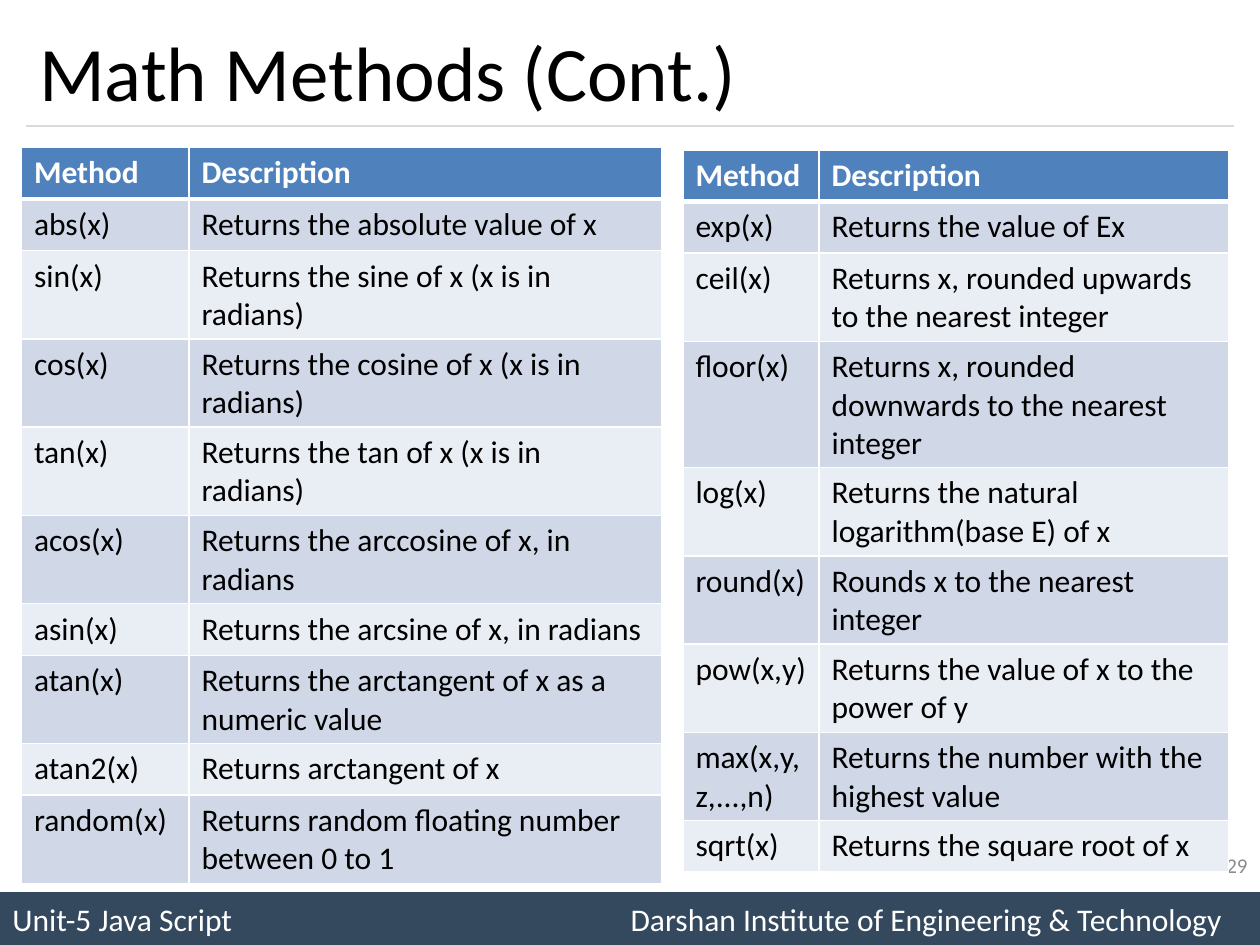
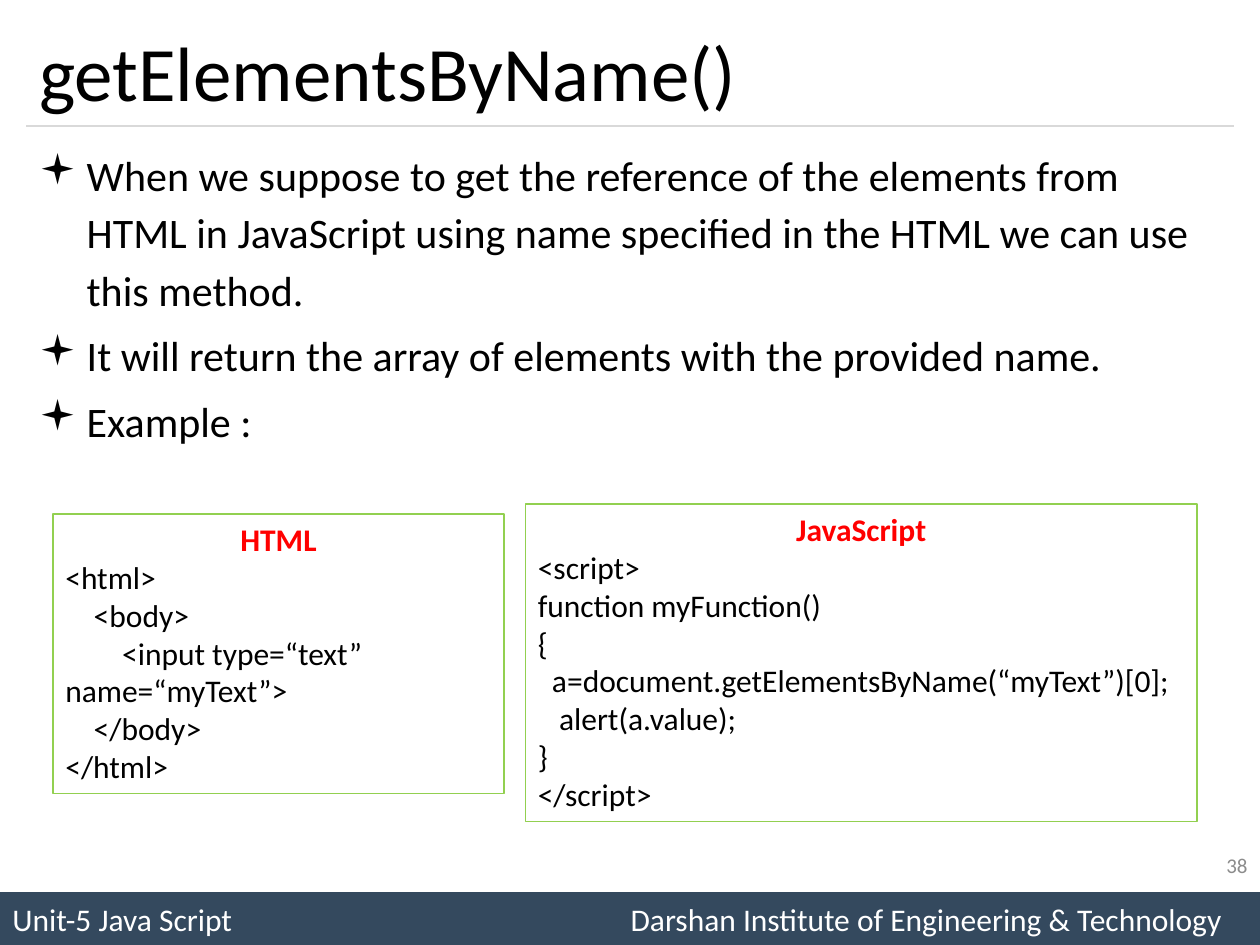
from dataclasses import dataclass

from pptx import Presentation
from pptx.dml.color import RGBColor
from pptx.enum.shapes import MSO_CONNECTOR as Connector, MSO_SHAPE as Shape
from pptx.enum.text import MSO_ANCHOR as Anchor, MSO_AUTO_SIZE as AutoSize, PP_ALIGN as Align
from pptx.oxml.ns import qn
from pptx.util import Inches, Pt
from lxml.etree import SubElement

# ---- Content ----
FOOTER = "Unit-5 Java Script\tDarshan Institute of Engineering & Technology"
HEADER = ("Method", "Description")
BASIC_METHODS = [
    ("abs(x)", "Returns the absolute value of x"),
    ("sin(x)", "Returns the sine of x (x is in radians)"),
    ("cos(x)", "Returns the cosine of x (x is in radians)"),
    ("tan(x)", "Returns the tan of x (x is in radians)"),
    ("acos(x)", "Returns the arccosine of x, in radians"),
    ("asin(x)", "Returns the arcsine of x, in radians"),
    ("atan(x)", "Returns the arctangent of x as a numeric value"),
    ("atan2(x)", "Returns arctangent of x"),
    ("random(x)", "Returns random floating number between 0 to 1"),
]
MORE_METHODS = [
    ("exp(x)", "Returns the value of Ex"),
    ("ceil(x)", "Returns x, rounded upwards to the nearest integer"),
    ("floor(x)", "Returns x, rounded downwards to the nearest integer"),
    ("log(x)", "Returns the natural logarithm(base E) of x"),
    ("round(x)", "Rounds x to the nearest integer"),
    ("pow(x,y)", "Returns the value of x to the power of y"),
    ("max(x,y,z,...,n)", "Returns the number with the highest value"),
    ("sqrt(x)", "Returns the square root of x"),
]
BULLETS = [
    "When we suppose to get the reference of the elements from HTML in JavaScript "
    "using name specified in the HTML we can use this method.",
    "It will return the array of elements with the provided name.",
    "Example :",
]
HTML_CODE = [
    "<html>",
    "    <body>",
    "        <input type=“text”\vname=“myText”>",
    "    </body>",
    "</html>",
]
SCRIPT_CODE = [
    "<script>",
    "function myFunction()",
    "{",
    "  a=document.getElementsByName(“myText”)[0];",
    "   alert(a.value);",
    "}",
    "</script>",
]
METHOD_TABLES = [  # left, top, column widths, rows
    (0.17, 1.17, (1.33, 3.75), BASIC_METHODS),
    (5.42, 1.19, (1.08, 3.25), MORE_METHODS),
]
CODE_BOXES = [  # left, top, width, height, heading, lines
    (0.42, 4.08, 3.58, 2.22, "HTML", HTML_CODE),
    (4.17, 4, 5.33, 2.52, "JavaScript", SCRIPT_CODE),
]


# ---- Look ----
@dataclass(frozen=True)
class Theme:
    font: str = "Calibri"
    ink: str = "000000"
    white: str = "FFFFFF"
    band: str = "34495E"
    rule: str = "D9D9D9"
    number: str = "8C8C8C"
    header: str = "4F81BD"
    stripes: tuple = ("D0D8E8", "E9EDF4")
    code_line: str = "92D050"
    code_heading: str = "FF0000"
    title_size: int = 44
    bullet_size: int = 24
    text_size: int = 18
    number_size: int = 12


THEME = Theme()
WIDTH, HEIGHT = 10, 7.5
MARGIN = 0.21
CONTENT_WIDTH = WIDTH - 2 * MARGIN
RULE_TOP = 1
BAND_HEIGHT = 0.42
BAND_TOP = HEIGHT - BAND_HEIGHT
ROW_HEIGHT = 0.41
BULLET_INDENT = 0.38


def apply(target, **values):
    for name, value in values.items():
        setattr(target, name, value)


def inches(*lengths):
    return [Inches(length) for length in lengths]


def style(para, size, color=THEME.ink, bold=False):
    for target in (para, *para.runs):
        apply(target.font, name=THEME.font, size=Pt(size), bold=bold)
        target.font.color.rgb = RGBColor.from_string(color)


def paint(fill, color):
    fill.solid()
    fill.fore_color.rgb = RGBColor.from_string(color)


def add_paragraphs(frame, texts):
    """Fill an empty frame with one paragraph per text and return them."""
    paras = [frame.paragraphs[0]] + [frame.add_paragraph() for _ in texts[1:]]
    for para, text in zip(paras, texts):
        para.text = text
    return paras


def add_footer(page):
    band = page.shapes.add_shape(Shape.RECTANGLE, *inches(0, BAND_TOP, WIDTH, BAND_HEIGHT))
    band.shadow.inherit = False
    paint(band.fill, THEME.band)
    band.line.fill.background()
    band.text_frame.vertical_anchor = Anchor.MIDDLE
    para = band.text_frame.paragraphs[0]
    para.alignment = Align.LEFT
    tabs = SubElement(para._p.get_or_add_pPr(), qn("a:tabLst"))
    SubElement(tabs, qn("a:tab"), pos=str(Inches(WIDTH - 0.4)), algn="r")
    para.text = FOOTER
    style(para, THEME.text_size, THEME.white)


def add_rule(page):
    rule = page.shapes.add_connector(
        Connector.STRAIGHT, *inches(MARGIN, RULE_TOP, WIDTH - MARGIN, RULE_TOP))
    rule.line.width = Pt(0.75)
    rule.line.color.rgb = RGBColor.from_string(THEME.rule)
    SubElement(rule._element.spPr, qn("a:effectLst"))


def add_page_number(page, number):
    box = page.shapes.add_textbox(*inches(7.67, 6.67, 2.33, 0.4))
    apply(box.text_frame, word_wrap=True, vertical_anchor=Anchor.MIDDLE)
    para = box.text_frame.paragraphs[0]
    apply(para, text=str(number), alignment=Align.RIGHT)
    style(para, THEME.number_size, THEME.number)


def add_page(deck, title, number):
    page = deck.slides.add_slide(deck.slide_layouts[5])
    add_footer(page)
    add_rule(page)
    left, top, width, height = inches(MARGIN, 0.12, CONTENT_WIDTH, 0.88)
    apply(page.shapes.title, left=left, top=top, width=width, height=height)
    frame = page.shapes.title.text_frame
    apply(frame, text=title, vertical_anchor=Anchor.MIDDLE, auto_size=AutoSize.NONE)
    frame.paragraphs[0].alignment = Align.LEFT
    style(frame.paragraphs[0], THEME.title_size)
    add_page_number(page, number)
    return page


def add_borders(cell, is_header):
    properties = cell._tc.get_or_add_tcPr()
    for side in "LRTB":
        width = 3 if is_header and side == "B" else 1
        line = SubElement(properties, qn(f"a:ln{side}"), w=str(Pt(width)))
        fill = SubElement(line, qn("a:solidFill"))
        SubElement(fill, qn("a:srgbClr"), val=THEME.white)


def add_method_table(page, left, top, widths, methods):
    rows = [HEADER, *methods]
    frame = page.shapes.add_table(
        len(rows), len(widths), *inches(left, top, sum(widths), ROW_HEIGHT * len(rows)))
    table = frame.table
    for column, width in zip(table.columns, widths):
        column.width = Inches(width)
    for row_index, texts in enumerate(rows):
        is_header = row_index == 0
        fill = THEME.header if is_header else THEME.stripes[(row_index - 1) % 2]
        for cell, text in zip(table.rows[row_index].cells, texts):
            cell.text = text
            add_borders(cell, is_header)
            paint(cell.fill, fill)
            style(cell.text_frame.paragraphs[0], THEME.text_size,
                  THEME.white if is_header else THEME.ink, is_header)


def add_bullets(page, texts):
    box = page.shapes.add_textbox(*inches(MARGIN, 1.08, CONTENT_WIDTH, 5.83))
    box.text_frame.word_wrap = True
    for index, para in enumerate(add_paragraphs(box.text_frame, texts)):
        properties = para._p.get_or_add_pPr()
        properties.set("marL", str(Inches(BULLET_INDENT)))
        properties.set("indent", str(-Inches(BULLET_INDENT)))
        SubElement(properties, qn("a:buFont"), typeface="Wingdings")
        SubElement(properties, qn("a:buChar"), char="▪")
        apply(para, line_spacing=1.14,
              space_before=Pt(0.2 * THEME.bullet_size if index else 0))
        style(para, THEME.bullet_size)


def add_code_box(page, left, top, width, height, heading, lines):
    box = page.shapes.add_shape(Shape.RECTANGLE, *inches(left, top, width, height))
    box.shadow.inherit = False
    box.fill.background()
    box.line.width = Pt(0.75)
    box.line.color.rgb = RGBColor.from_string(THEME.code_line)
    apply(box.text_frame, word_wrap=True, vertical_anchor=Anchor.TOP,
          auto_size=AutoSize.SHAPE_TO_FIT_TEXT)
    title, *code = add_paragraphs(box.text_frame, [heading, *lines])
    title.alignment = Align.CENTER
    style(title, THEME.text_size, THEME.code_heading, bold=True)
    for para in code:
        para.alignment = Align.LEFT
        style(para, THEME.text_size)


def main():
    deck = Presentation()
    deck.slide_width, deck.slide_height = inches(WIDTH, HEIGHT)

    methods_page = add_page(deck, "Math Methods (Cont.)", 29)
    for table in METHOD_TABLES:
        add_method_table(methods_page, *table)

    names_page = add_page(deck, "getElementsByName()", 38)
    add_bullets(names_page, BULLETS)
    for code_box in CODE_BOXES:
        add_code_box(names_page, *code_box)

    deck.save("out.pptx")


if __name__ == "__main__":
    main()
